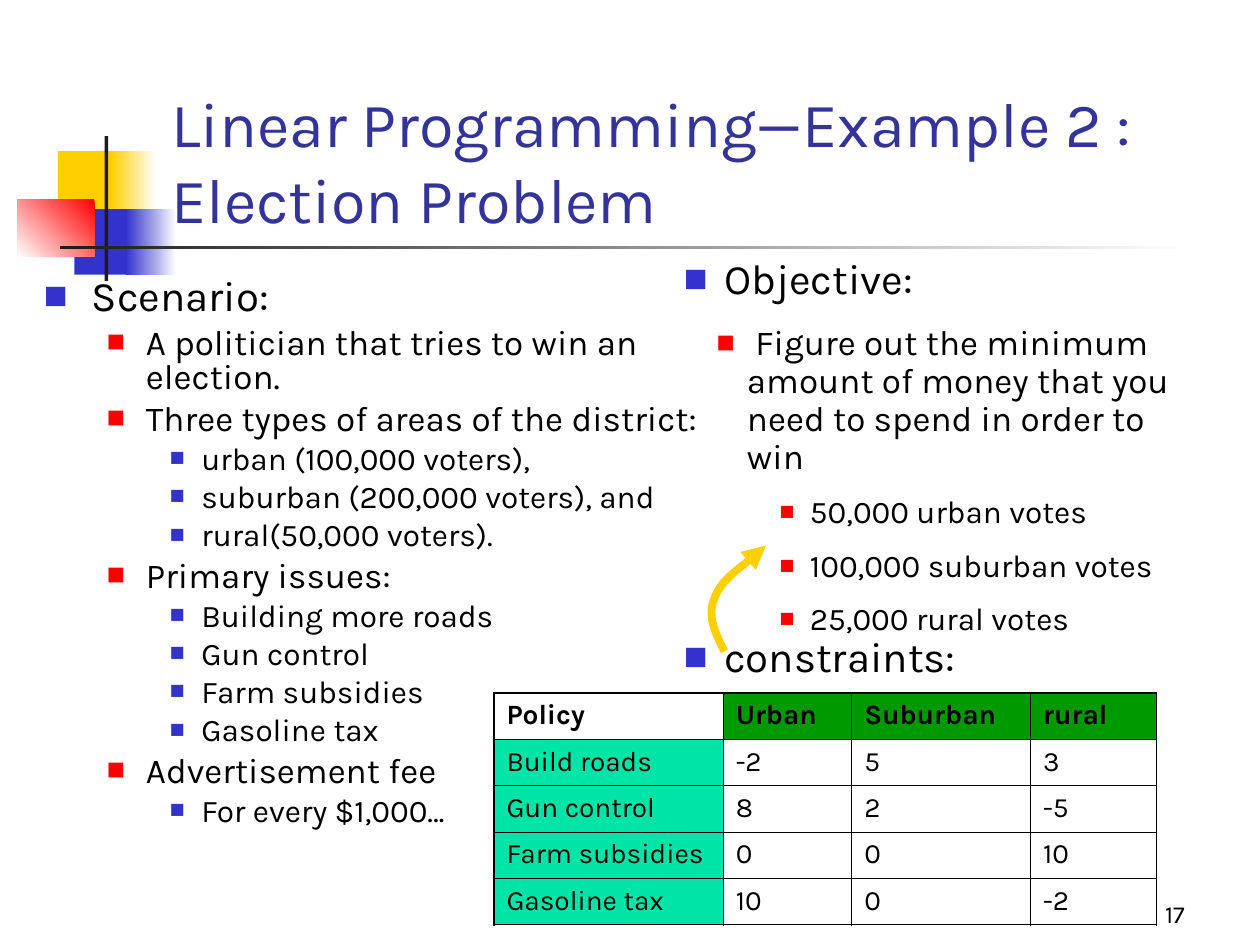
from lxml.etree import SubElement
from pptx import Presentation
from pptx.dml.color import RGBColor
from pptx.enum.shapes import MSO_SHAPE
from pptx.enum.text import MSO_ANCHOR, PP_ALIGN
from pptx.oxml.ns import qn
from pptx.util import Inches, Pt

FONT = "Karla"
BLUE, RED, GOLD, DARK = "3333CC", "FF0000", "FFCF01", "1C1C1C"
BLACK, WHITE, GREEN, MINT = "000000", "FFFFFF", "009900", "00E4A8"

BLOCKS = [
    ((0.46, 1.2, 0.48, 0.52), (GOLD,), 0),
    ((0.88, 1.2, 0.36, 0.52), (WHITE, GOLD), 180),
    ((0.59, 1.66, 0.46, 0.52), (BLUE,), 0),
    ((1, 1.66, 0.4, 0.52), (WHITE, BLUE), 180),
    ((0.14, 1.58, 0.61, 0.46), (RED, WHITE), 225),
    ((0.83, 1.08, 0.03, 1.15), (DARK,), 0),
    ((0.48, 1.95, 9, 0.03), (WHITE, DARK), 180),
]

SIZES = (24, 20, 18)
MARKS = (60, 55, 50)
LEFT = dict(space=0.8, before=(6, 5, 4.5), colors=(BLUE, RED, BLUE),
            margins=(0.38, 0.81, 1.25), hangs=(0.38, 0.31, 0.25))
RIGHT = dict(space=0.9, before=(15, 12.5, 11.2), colors=(BLUE, RED, RED),
             margins=(0.24, 0.5, 1), hangs=(0.24, 0.24, 0.24))

SCENARIO = [
    (0, "Scenario:"),
    (1, "A politician that tries to win an election."),
    (1, "Three types of areas of the district:"),
    (2, "urban (100,000 voters),"),
    (2, "suburban (200,000 voters), and"),
    (2, "rural(50,000 voters)."),
    (1, "Primary issues:"),
    (2, "Building more roads"),
    (2, "Gun control"),
    (2, "Farm subsidies"),
    (2, "Gasoline tax"),
    (1, "Advertisement fee"),
    (2, "For every $1,000…"),
]
GOALS = [
    (0, " Objective:"),
    (1, " Figure out the minimum amount of money that you need "
        "to spend in order to win"),
    (2, "50,000 urban votes"),
    (2, "100,000 suburban votes"),
    (2, "25,000 rural votes"),
]
POLICY = [
    ("Policy", "Urban", "Suburban", "rural"),
    ("Build roads", "-2", "5", "3"),
    ("Gun control", "8", "2", "-5"),
    ("Farm subsidies", "0", "0", "10"),
    ("Gasoline tax", "10", "0", "-2"),
]
CURVE = [(5.75, 5.17), (5.68, 5.03), (5.61, 4.89), (5.67, 4.75),
         (5.72, 4.61), (6.01, 4.4), (6.08, 4.33)]


def rgb(code):
    return RGBColor.from_string(code)


def place(box):
    return [Inches(v) for v in box]


def style(para, size, color=BLACK, bold=False):
    font = para.font
    font.name, font.size, font.bold = FONT, Pt(size), bold
    font.color.rgb = rgb(color)


def add_block(slide, box, colors, angle):
    shape = slide.shapes.add_shape(MSO_SHAPE.RECTANGLE, *place(box))
    shape.shadow.inherit = False
    shape.line.fill.background()
    if len(colors) == 1:
        shape.fill.solid()
        shape.fill.fore_color.rgb = rgb(colors[0])
        return
    shape.fill.gradient()
    shape.fill.gradient_angle = angle
    for stop, color in zip(shape.fill.gradient_stops, colors):
        stop.color.rgb = rgb(color)


def add_frame(slide, box, anchor=MSO_ANCHOR.TOP):
    frame = slide.shapes.add_textbox(*place(box)).text_frame
    frame.word_wrap = True
    frame.vertical_anchor = anchor
    return frame


def add_line(slide, box, text, size, color, align):
    para = add_frame(slide, box, MSO_ANCHOR.BOTTOM).paragraphs[0]
    para.text, para.alignment = text, align
    style(para, size, color)


def set_bullet(para, color, size, margin, hang):
    props = para._p.get_or_add_pPr()
    props.set("marL", str(Inches(margin)))
    props.set("indent", str(-Inches(hang)))
    tint = SubElement(props, qn("a:buClr"))
    SubElement(tint, qn("a:srgbClr"), val=color)
    SubElement(props, qn("a:buSzPct"), val=str(size * 1000))
    SubElement(props, qn("a:buFont"), typeface=FONT)
    SubElement(props, qn("a:buChar"), char="■")


def add_list(slide, box, items, look):
    frame = add_frame(slide, box)
    for i, (level, text) in enumerate(items):
        para = frame.add_paragraph() if i else frame.paragraphs[0]
        para.text, para.level = text, level
        para.line_spacing = look["space"]
        para.space_before = Pt(look["before"][level])
        set_bullet(para, look["colors"][level], MARKS[level],
                   look["margins"][level], look["hangs"][level])
        style(para, SIZES[level])


def set_edges(cell, outer):
    props = cell._tc.get_or_add_tcPr()
    for i, (side, thick) in enumerate(outer.items()):
        width = Pt(1.08 if thick else 0.45)
        edge = props.makeelement(qn(f"a:{side}"), {"w": str(width)})
        fill = SubElement(edge, qn("a:solidFill"))
        SubElement(fill, qn("a:srgbClr"), val=BLACK)
        props.insert(i, edge)


def add_grid(slide, box, rows, widths):
    last, end = len(rows) - 1, len(widths) - 1
    table = slide.shapes.add_table(len(rows), len(widths), *place(box)).table
    table.first_row = table.horz_banding = False
    for column, width in zip(table.columns, widths):
        column.width = Inches(width)
    for r, row in enumerate(rows):
        table.rows[r].height = Inches(box[3] / len(rows))
        for c, text in enumerate(row):
            cell = table.cell(r, c)
            para = cell.text_frame.paragraphs[0]
            para.text, para.space_before = text, Pt(4)
            style(para, 16, bold=r == 0)
            if (r == 0) != (c == 0):
                cell.fill.solid()
                cell.fill.fore_color.rgb = rgb(MINT if r else GREEN)
            else:
                cell.fill.background()
            set_edges(cell, dict(lnL=c == 0, lnR=c == end,
                                 lnT=r == 0, lnB=r == last))


def add_curve(slide, points, color, width):
    first, *rest = [place(p) for p in points]
    pen = slide.shapes.build_freeform(*first)
    pen.add_line_segments(rest, close=False)
    shape = pen.convert_to_shape()
    shape.shadow.inherit = False
    shape.fill.background()
    shape.line.color.rgb = rgb(color)
    shape.line.width = Pt(width)
    SubElement(shape.line._get_or_add_ln(), qn("a:tailEnd"), type="triangle")
    steps = list(shape._element.iter(qn("a:lnTo")))
    for i in range(0, len(steps), 3):
        bend = SubElement(steps[i].getparent(), qn("a:cubicBezTo"))
        for step in steps[i:i + 3]:
            bend.append(step[0])
            step.getparent().remove(step)


def main():
    deck = Presentation()
    deck.slide_width, deck.slide_height = Inches(10), Inches(7.5)
    slide = deck.slides.add_slide(deck.slide_layouts[6])
    for box, colors, angle in BLOCKS:
        add_block(slide, box, colors, angle)
    add_line(slide, (1.26, 0.67, 8.52, 1.25),
             "Linear Programming—Example 2 : Election Problem",
             36, "333399", PP_ALIGN.LEFT)
    add_list(slide, (0.25, 2.17, 5.75, 4.5), SCENARIO, LEFT)
    add_list(slide, (5.33, 2, 4.25, 3.12), GOALS, RIGHT)
    add_grid(slide, (3.92, 5.5, 5.25, 1.84), POLICY, (1.82, 1.02, 1.42, 1))
    add_list(slide, (5.33, 5, 4.25, 0.46), [(0, " constraints:")], RIGHT)
    add_curve(slide, CURVE, GOLD, 4.5)
    add_line(slide, (7.42, 6.92, 2.08, 0.5), "17", 14, BLACK, PP_ALIGN.RIGHT)
    deck.save("out.pptx")


if __name__ == "__main__":
    main()
